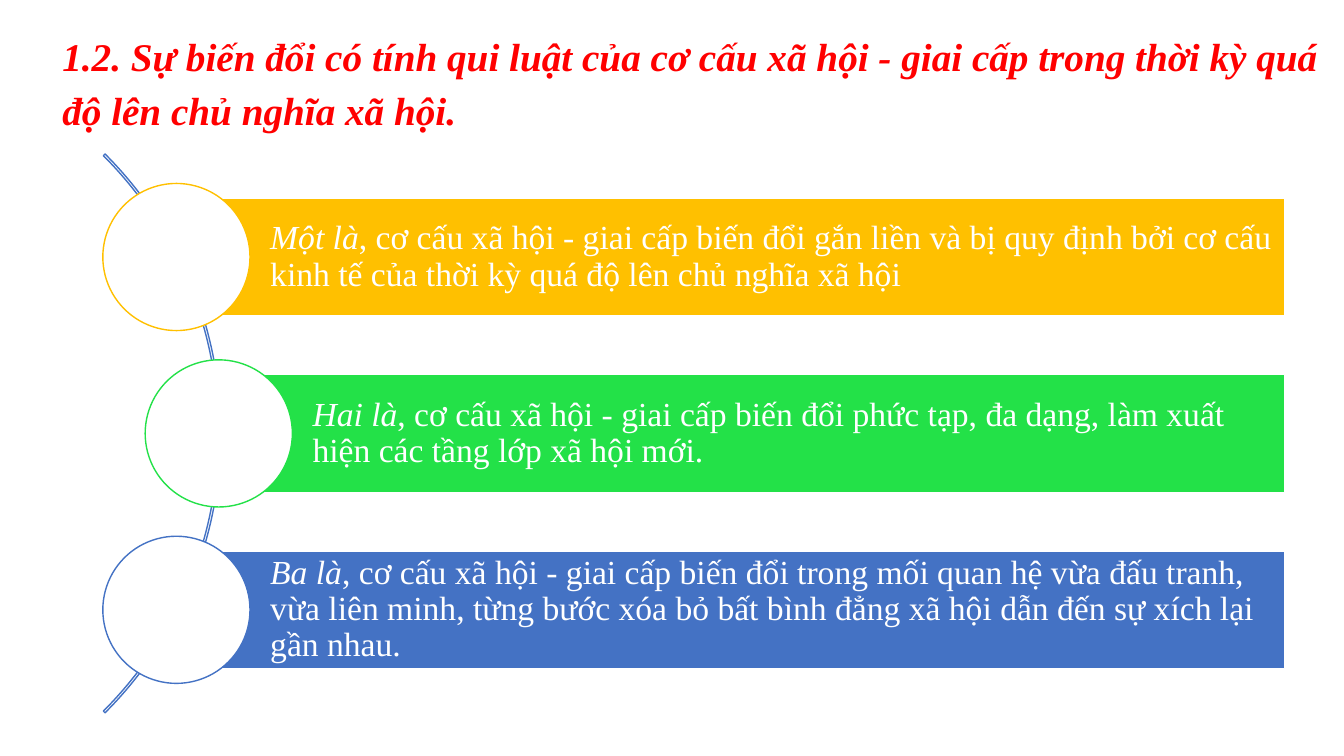
from pptx import Presentation
from pptx import util as u
from pptx.dml.color import RGBColor
from pptx.enum import shapes, text

FONT = "Times New Roman"
WHITE, RED, BLUE = "FFFFFF", "FF0000", "4472C4"
TITLE = ("1.2. Sự biến đổi có tính qui luật của cơ cấu xã hội - giai cấp "
         "trong thời kỳ quá độ lên chủ nghĩa xã hội.")

# Lead words, statement, colour, x of the circle's centre
POINTS = [
    ("Một là", ", cơ cấu xã hội - giai cấp biến đổi gắn liền và bị quy định bởi "
     "cơ cấu kinh tế của thời kỳ quá độ lên chủ nghĩa xã hội", "FFC000", 1.75),
    ("Hai là", ", cơ cấu xã hội - giai cấp biến đổi phức tạp, đa dạng, làm xuất "
     "hiện các tầng lớp xã hội mới.", "23E148", 2.17),
    ("Ba là", ", cơ cấu xã hội - giai cấp biến đổi trong mối quan hệ vừa đấu "
     "tranh, vừa liên minh, từng bước xóa bỏ bất bình đẳng xã hội dẫn đến sự "
     "xích lại gần nhau.", BLUE, 1.75),
]
MIDDLE_Y, PITCH = 4.3, 1.75
BAR_RIGHT, BAR_HEIGHT = 12.74, 1.17
CIRCLE, ARC = 1.46, 7.84


def rgb(value):
    return RGBColor.from_string(value)


def set_format(target, values):
    for name, value in values.items():
        setattr(target, name, value)


def add_run(paragraph, words, size, color, **style):
    run = paragraph.add_run()
    run.text = words
    set_format(run.font, {"name": FONT, "size": u.Pt(size), **style})
    run.font.color.rgb = rgb(color)


def add_outlined(slide, kind, left, top, width, height, line, fill=None):
    shape = slide.shapes.add_shape(
        kind, *(u.Inches(n) for n in (left, top, width, height)))
    shape.shadow.inherit = False
    if fill:
        shape.fill.solid()
        shape.fill.fore_color.rgb = rgb(fill)
    else:
        shape.fill.background()
    shape.line.color.rgb = rgb(line)
    shape.line.width = u.Pt(1)
    return shape


def add_title(slide):
    box = slide.shapes.add_textbox(
        u.Inches(0.52), u.Inches(0.2), u.Inches(12.65), u.Inches(1.18))
    set_format(box.text_frame, {
        "word_wrap": True, "auto_size": text.MSO_AUTO_SIZE.SHAPE_TO_FIT_TEXT})
    heading = box.text_frame.paragraphs[0]
    set_format(heading, {"alignment": text.PP_ALIGN.JUSTIFY,
                         "line_spacing": 1.15, "space_after": u.Pt(6)})
    add_run(heading, TITLE, 28, RED, bold=True, italic=True)


def add_arc(slide):
    arc = add_outlined(slide, shapes.MSO_SHAPE.BLOCK_ARC,
                       -5.65, MIDDLE_Y - ARC / 2, ARC, ARC, BLUE)
    for index, value in enumerate((189, 27, 0.003)):
        arc.adjustments[index] = value


def add_point(slide, lead, statement, color, center_x, center_y):
    # Bar starts at the centre of its circle
    bar = add_outlined(slide, shapes.MSO_SHAPE.RECTANGLE,
                       center_x, center_y - BAR_HEIGHT / 2,
                       BAR_RIGHT - center_x, BAR_HEIGHT, WHITE, color)
    inset = u.Inches(0.07)
    set_format(bar.text_frame, {
        "word_wrap": True, "vertical_anchor": text.MSO_ANCHOR.MIDDLE,
        "margin_left": u.Inches(0.93), "margin_right": inset,
        "margin_top": inset, "margin_bottom": inset})
    paragraph = bar.text_frame.paragraphs[0]
    set_format(paragraph, {"alignment": text.PP_ALIGN.LEFT, "line_spacing": 0.9})
    add_run(paragraph, lead, 24, WHITE, italic=True)
    add_run(paragraph, statement, 24, WHITE, italic=False)

    # Circle over the bar's left end
    add_outlined(slide, shapes.MSO_SHAPE.OVAL, center_x - CIRCLE / 2,
                 center_y - CIRCLE / 2, CIRCLE, CIRCLE, color, WHITE)


def main():
    deck = Presentation()
    set_format(deck, {"slide_width": u.Inches(13.33),
                      "slide_height": u.Inches(7.5)})
    slide = deck.slides.add_slide(deck.slide_layouts[6])
    add_title(slide)
    add_arc(slide)
    for row, point in enumerate(POINTS):
        add_point(slide, *point, MIDDLE_Y + (row - 1) * PITCH)
    deck.save("out.pptx")


if __name__ == "__main__":
    main()
